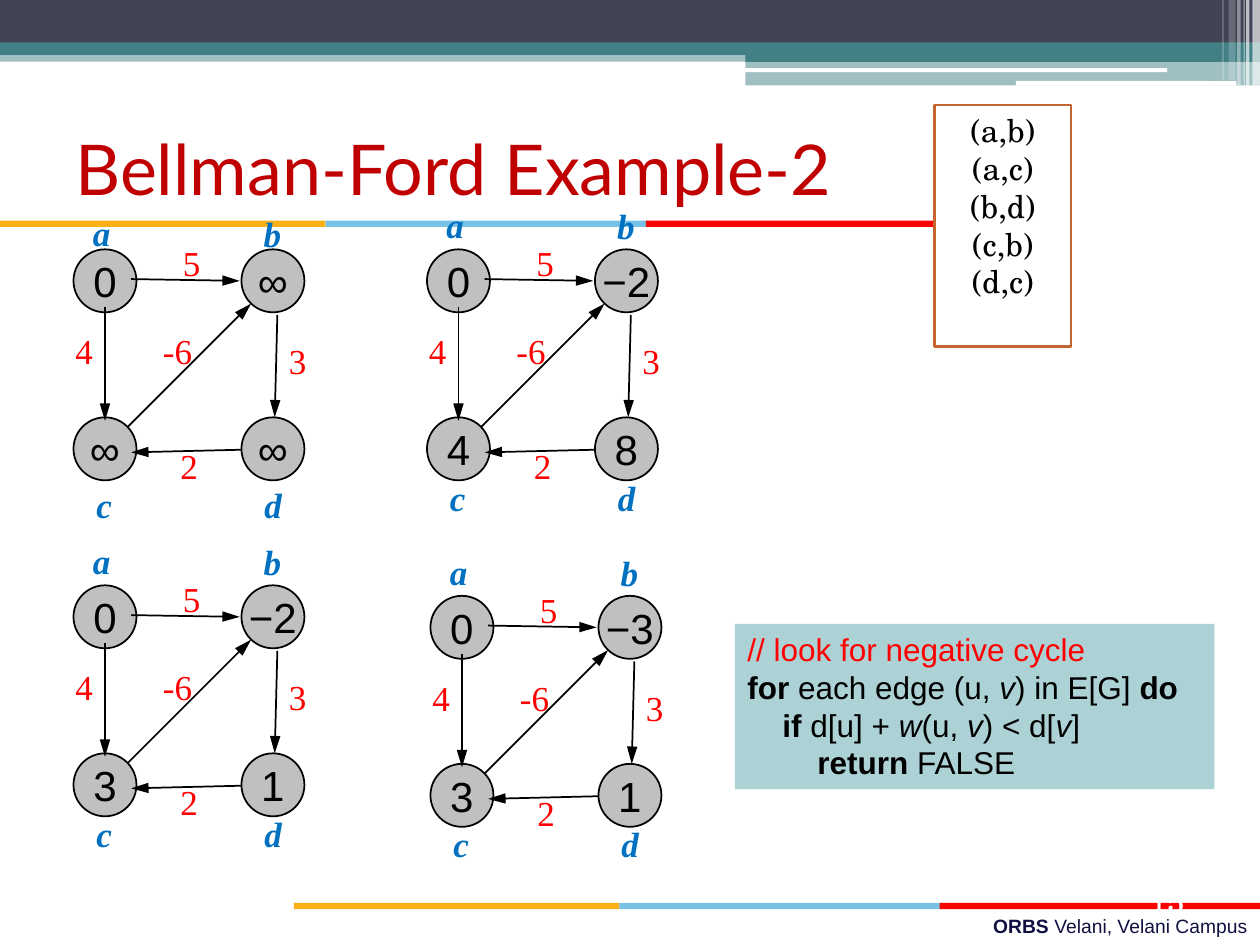
from dataclasses import dataclass

from lxml import etree
from pptx import Presentation
from pptx.dml.color import RGBColor
from pptx.enum.shapes import MSO_CONNECTOR as Connector, MSO_SHAPE as Shape
from pptx.enum.text import MSO_ANCHOR as Anchor, PP_ALIGN as Align
from pptx.oxml.ns import qn
from pptx.util import Pt


@dataclass(frozen=True)
class Theme:
    navy: str = "424456"
    teal: str = "438086"
    white: str = "FFFFFF"
    black: str = "000000"
    amber: str = "FCB017"
    sky: str = "76C2E5"
    red: str = "FF0000"
    title: str = "C00000"
    node: str = "C0C0C0"
    name: str = "0070C0"
    border: str = "C4652D"
    code: str = "ADD2D6"
    footer: str = "101141"
    sans: str = "Arial"
    serif: str = "Times New Roman"
    book: str = "TeX Gyre Schola"
    heading: str = "Lato"
    title_size: int = 40
    node_size: int = 24
    label_size: int = 20
    body_size: int = 18
    footer_size: int = 11


THEME = Theme()


def write(frame, paragraphs, *, size, color, font, align=Align.LEFT, anchor=Anchor.TOP,
          wrap=True, bold=False, italic=False, indents=()):
    """Each paragraph is a string or a list of (text, format changes) runs."""
    frame.word_wrap = wrap
    frame.vertical_anchor = anchor
    for index, content in enumerate(paragraphs):
        paragraph = frame.paragraphs[0] if index == 0 else frame.add_paragraph()
        paragraph.alignment = align
        if indents and indents[index]:
            paragraph._p.get_or_add_pPr().set("marL", str(Pt(indents[index])))
        runs = [(content, {})] if isinstance(content, str) else content
        for text, changes in runs:
            run = paragraph.add_run()
            run.text = text
            run.font.name = font
            run.font.size = Pt(size)
            run.font.bold = changes.get("bold", bold)
            run.font.italic = changes.get("italic", italic)
            run.font.color.rgb = RGBColor.from_string(changes.get("color", color))


class SlideBuilder:
    def __init__(self, slide, theme):
        self.slide = slide
        self.theme = theme
        self.shapes = slide.shapes

    def start_group(self):
        self.shapes = self.slide.shapes.add_group_shape().shapes

    def end_group(self):
        self.shapes = self.slide.shapes

    def shape(self, left, top, width, height, fill, *, kind=Shape.RECTANGLE,
              opacity=100, line=None, line_width=1):
        shape = self.shapes.add_shape(kind, Pt(left), Pt(top), Pt(width), Pt(height))
        shape.shadow.inherit = False
        shape.fill.solid()
        shape.fill.fore_color.rgb = RGBColor.from_string(fill)
        if opacity < 100:
            color = shape.fill._xPr.find(qn("a:solidFill"))[0]
            etree.SubElement(color, qn("a:alpha")).set("val", str(opacity * 1000))
        if line:
            shape.line.color.rgb = RGBColor.from_string(line)
            shape.line.width = Pt(line_width)
        else:
            shape.line.fill.background()
        return shape

    def text(self, left, top, width, height, paragraphs, **style):
        box = self.shapes.add_textbox(Pt(left), Pt(top), Pt(width), Pt(height))
        write(box.text_frame, paragraphs, **style)

    def arrow(self, x1, y1, x2, y2):
        arrow = self.shapes.add_connector(Connector.STRAIGHT, Pt(x1), Pt(y1), Pt(x2), Pt(y2))
        arrow.line.color.rgb = RGBColor.from_string(self.theme.black)
        arrow.line.width = Pt(1)
        head = etree.SubElement(arrow.line._get_or_add_ln(), qn("a:tailEnd"))
        for key, value in (("type", "triangle"), ("w", "med"), ("len", "lg")):
            head.set(key, value)
        etree.SubElement(arrow._element.spPr, qn("a:effectLst"))

    def stripe(self, left, top):
        for color, offset, width in ((self.theme.amber, 0, 186), (self.theme.sky, 186, 183.5),
                                     (self.theme.red, 369, 183.5)):
            self.shape(left + offset, top, width, 3.6, color)

    def label(self, x, y, text, width=24, **style):
        self.text(x, y, width, 31, [text], size=self.theme.label_size,
                  font=self.theme.serif, **style)

    def graph(self, x, y, distances, name_shift=0):
        """Draw the four-vertex graph; x, y is the corner of vertex a."""
        theme = self.theme
        self.start_group()
        for index, distance in enumerate(distances):
            row, column = divmod(index, 2)
            node = self.shape(x + column * NODE_STEP, y + row * NODE_STEP, NODE_SIZE, NODE_SIZE,
                              theme.node, kind=Shape.OVAL, line=theme.black)
            write(node.text_frame, [distance], size=theme.node_size, color=theme.black,
                  font=theme.sans, align=Align.CENTER, anchor=Anchor.MIDDLE, wrap=False)
        for x1, y1, x2, y2 in EDGES:
            self.arrow(x + x1, y + y1, x + x2, y + y2)
        for weight, left, top, width in WEIGHTS:
            self.label(x + left, y + top, weight, width, color=theme.red)
        for name, left, top in NAMES:
            self.label(x + left, y + top + name_shift, name, color=theme.name,
                       bold=True, italic=True)
        self.end_group()


# Graph layout, relative to the corner of vertex a
NODE_SIZE, NODE_STEP = 36, 96
EDGES = ((18, 33, 18, 98), (31, 101.5, 101.5, 31), (116.5, 37.5, 115, 96),
         (96, 114.5, 33, 116), (33, 17, 95, 18))
WEIGHTS = (("4", -6, 42.5, 24), ("-6", 44, 42.5, 34), ("3", 116, 48, 24),
           ("2", 54, 108, 24), ("5", 55.5, -8, 36))
NAMES = (("a", 4, -29.5), ("b", 101.5, -29), ("c", 6, 126), ("d", 102, 126))
GRAPHS = ((42, 142.5, "0∞∞∞", 4.5),
          (244, 142.5, ("0", "−2", "4", "8"), 0),
          (42, 334.5, ("0", "−2", "3", "1"), 0),
          (246, 340.5, ("0", "−3", "3", "1"), 0))

BOLD, ITALIC = {"bold": True}, {"italic": True}
CODE = (
    [("// look for negative cycle", {"color": THEME.red})],
    [("for", BOLD), (" each edge (u, ", {}), ("v", ITALIC), (") in E[G] ", {}), ("do", BOLD)],
    [("if ", BOLD), ("d[u] + ", {}), ("w", ITALIC), ("(u, ", {}), ("v", ITALIC),
     (") < d[", {}), ("v", ITALIC), ("]", {})],
    [("return", BOLD), (" FALSE", {})],
)


def main():
    theme = THEME
    presentation = Presentation()
    presentation.slide_width, presentation.slide_height = Pt(720), Pt(540)
    builder = SlideBuilder(presentation.slides.add_slide(presentation.slide_layouts[6]), theme)

    # Header bands
    for left, top, width, height, color, opacity in (
            (0, 28.8, 720, 6.5, theme.teal, 50), (0, 0, 720, 24.5, theme.navy, 100),
            (0, 24.2, 720, 7.2, theme.teal, 100), (426, 28.2, 294, 7.2, theme.teal, 100),
            (426, 35, 294, 13.8, theme.teal, 50)):
        builder.shape(left, top, width, height, color, opacity=opacity)
    for left, top, width, height in ((425.5, 39, 241.5, 2.2), (580.5, 46.3, 126, 2.7)):
        builder.shape(left, top, width, height, theme.white, kind=Shape.ROUNDED_RECTANGLE)
    for left, width, height, opacity in ((715.7, 4.3, 49, 65), (712, 2, 49, 65),
                                         (710.6, 0.7, 49, 60), (707, 2, 49, 40),
                                         (702, 4, 46, 20), (698.5, 0.7, 46, 30)):
        builder.shape(left, 0, width, height, theme.white, opacity=opacity)

    # Footer and stripes
    builder.text(258, 519, 462, 21, [[("ORBS ", BOLD), ("Velani, Velani Campus", {})]],
                 size=theme.footer_size, color=theme.footer, font=theme.sans, align=Align.RIGHT)
    builder.stripe(168, 516)
    builder.stripe(0, 126)
    builder.text(516, 504, 168, 25, ["15"], size=theme.body_size, color=theme.white,
                 font=theme.book, align=Align.RIGHT, anchor=Anchor.BOTTOM)

    # Title
    builder.text(36, 54, 648, 84, ["Bellman-Ford Example-2"], size=theme.title_size,
                 color=theme.title, font=theme.heading, anchor=Anchor.MIDDLE)

    # Graphs, one for each pass
    for x, y, distances, name_shift in GRAPHS:
        builder.graph(x, y, distances, name_shift)

    # Edge order
    edge_box = builder.shape(534, 60, 78, 138, theme.white, line=theme.border, line_width=1.5)
    write(edge_box.text_frame, ["(a,b) (a,c)", "(b,d)", "(c,b)", "(d,c)"], size=theme.body_size,
          color=theme.black, font=theme.book, align=Align.CENTER)

    # Negative cycle check
    code_box = builder.shape(420, 356.5, 274, 94.5, theme.code)
    write(code_box.text_frame, CODE, size=theme.body_size, color=theme.black,
          font=theme.sans, indents=(0, 0, 20, 40))

    presentation.save("out.pptx")


if __name__ == "__main__":
    main()
